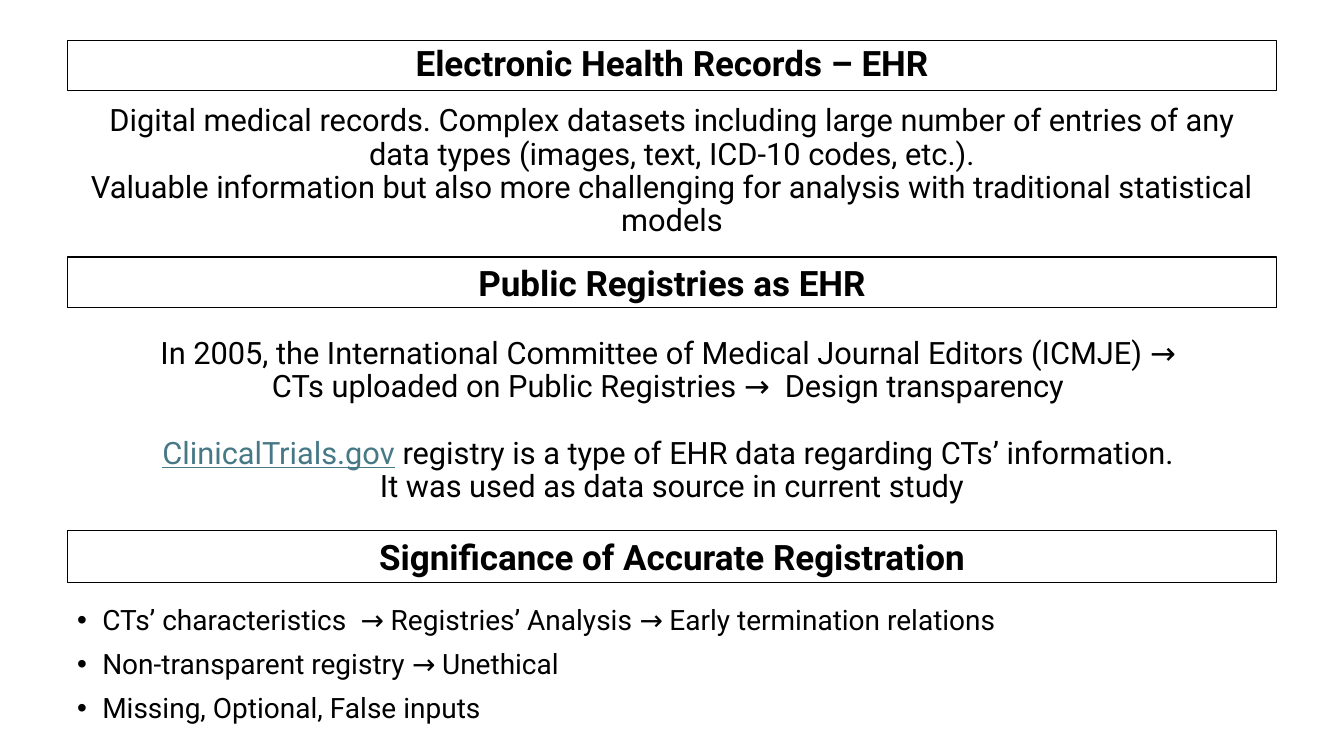
"""Build the slide on electronic health records and public registries."""
from lxml.etree import SubElement
from pptx import Presentation
from pptx.dml.color import RGBColor
from pptx.enum.shapes import MSO_SHAPE as Shape
from pptx.enum.text import MSO_ANCHOR as Anchor, MSO_AUTO_SIZE as AutoSize, PP_ALIGN as Align
from pptx.oxml.ns import qn
from pptx.util import Pt

COLORS = {"text": "000000", "link": "467886"}
FONT = "Roboto"
LEFT, WIDTH = 48, 864
HEAD_SIZE, BODY_SIZE, LIST_SIZE = 25, 22, 20
INDENT = 18

TITLE = ("Electronic Health Records – EHR", 28.8, 36)
HEADINGS = [
    ("Public Registries as EHR", 183.6, 36),
    ("Significance of Accurate Registration", 378.9, 37.5),
]
RECORDS = [
    (0, ["Digital medical records. Complex datasets including large number of entries "
         "of any data types (images, text, ICD-10 codes, etc.).", "\n",
         "Valuable information but also more challenging for analysis with "
         "traditional statistical models"]),
]
REGISTRIES = [
    (0, ["In 2005, the International Committee of Medical Journal Editors (ICMJE) → "]),
    (0, ["CTs uploaded on Public Registries →  Design transparency "]),
    (23.8, [("ClinicalTrials.gov", "link"),
            " registry is a type of EHR data regarding CTs’ information. "]),
    (0, ["It was used as data source in current study"]),
]
SIGNIFICANCE = [
    (0, ["CTs’ characteristics  → Registries’ Analysis → Early termination relations"]),
    (10, ["Non-transparent registry → Unethical"]),
    (10, ["Missing, Optional, False inputs"]),
]
BODIES = [
    (RECORDS, 64.8, 116, BODY_SIZE, False),
    (REGISTRIES, 223.2, 155.5, BODY_SIZE, False),
    (SIGNIFICANCE, 437.8, 74.9, LIST_SIZE, True),
]


def add_run(p, text, size, color="text", bold=False):
    r = p.add_run()
    r.text = text
    r.font.name, r.font.size, r.font.bold = FONT, Pt(size), bold
    r.font.underline = color == "link"
    r.font.color.rgb = RGBColor.from_string(COLORS[color])


def set_bullet(p):
    pPr = p._p.get_or_add_pPr()
    pPr.set("marL", str(Pt(INDENT)))
    pPr.set("indent", str(-Pt(INDENT)))
    SubElement(pPr, qn("a:buFont")).set("typeface", "Arial")
    SubElement(pPr, qn("a:buChar")).set("char", "•")


def format_heading(sp, text, anchor, spacing):
    sp.fill.background()
    sp.line.color.rgb = RGBColor.from_string(COLORS["text"])
    sp.line.width = Pt(0.75)
    tf = sp.text_frame
    tf.word_wrap, tf.auto_size, tf.vertical_anchor = True, AutoSize.NONE, anchor
    p = tf.paragraphs[0]
    p.alignment, p.line_spacing = Align.CENTER, spacing
    add_run(p, text, HEAD_SIZE, bold=True)


def add_body(s, paragraphs, top, height, size, bulleted):
    tf = s.shapes.add_textbox(Pt(LEFT), Pt(top), Pt(WIDTH), Pt(height)).text_frame
    tf.word_wrap, tf.vertical_anchor = True, Anchor.MIDDLE
    for i, (before, parts) in enumerate(paragraphs):
        p = tf.add_paragraph() if i else tf.paragraphs[0]
        p.line_spacing, p.space_before = 0.9, Pt(before)
        p.alignment = Align.LEFT if bulleted else Align.CENTER
        if bulleted:
            set_bullet(p)
        for part in parts:
            if part == "\n":
                p.add_line_break()
            else:
                text, color = (part, "text") if isinstance(part, str) else part
                add_run(p, text, size, color)


def main():
    prs = Presentation()
    prs.slide_width, prs.slide_height = Pt(960), Pt(540)
    s = prs.slides.add_slide(prs.slide_layouts[5])

    text, top, height = TITLE
    title = s.shapes.title
    title.left, title.top, title.width, title.height = Pt(LEFT), Pt(top), Pt(WIDTH), Pt(height)
    format_heading(title, text, Anchor.MIDDLE, 0.9)

    for text, top, height in HEADINGS:
        sp = s.shapes.add_shape(Shape.RECTANGLE, Pt(LEFT), Pt(top), Pt(WIDTH), Pt(height))
        sp.shadow.inherit = False
        format_heading(sp, text, Anchor.TOP, 1.0)

    for body in BODIES:
        add_body(s, *body)

    prs.save("out.pptx")


if __name__ == "__main__":
    main()
